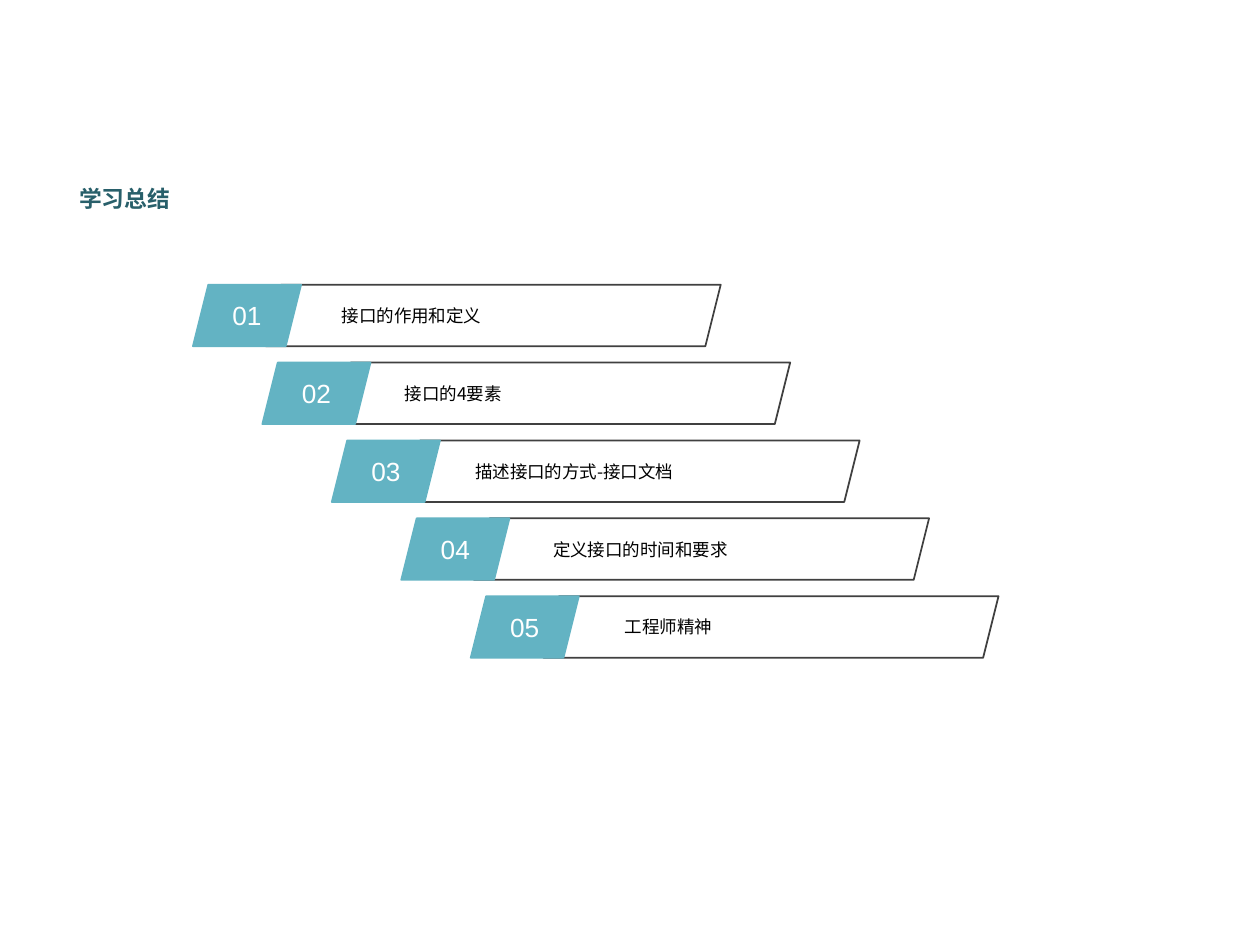
from pptx import Presentation
from pptx import util as u
from pptx.dml.color import RGBColor
from pptx.enum import shapes, text
from pptx.oxml.ns import qn
from lxml import etree

TITLE = "学习总结"
ITEMS = [
    ("接口的作用和定义", 6.71),
    ("接口的4要素", 7.98),
    ("描述接口的方式-接口文档", 9.4),
    ("定义接口的时间和要求", 10.97),
    ("工程师精神", 12.42),
]
LEFT, TOP = 3.89, 5.74
STEP_X, STEP_Y = 1.4, 1.57
TAG_W, BAR_W, BAR_H = 2.18, 9.17, 1.24
BAR_DX = 1.47
LABEL_W, LABEL_H = 7.09, 0.71
CJK = "Noto Sans CJK SC"

HEAD = {"size": u.Pt(13), "name": "Arial", "bold": True}
TAG = {"size": u.Pt(15), "name": "Arial"}
LABEL = {"size": u.Pt(10), "name": CJK}


def color(code):
    return RGBColor.from_string(code)


def write(shape, words, style, ink, side, pad=0.2):
    frame = shape.text_frame
    form = {
        "word_wrap": True,
        "vertical_anchor": text.MSO_ANCHOR.MIDDLE,
        "margin_left": u.Cm(pad),
        "margin_right": u.Cm(pad),
        "margin_top": u.Cm(0.1),
        "margin_bottom": u.Cm(0.1),
    }
    for key, value in form.items():
        setattr(frame, key, value)
    para = frame.paragraphs[0]
    para.alignment = side
    run = para.add_run()
    run.text = words
    for key, value in style.items():
        setattr(run.font, key, value)
    run.font.color.rgb = color(ink)
    east = etree.SubElement(run.font._element, qn("a:ea"))
    east.set("typeface", CJK)


def place(x, y, w, h):
    return [u.Cm(n) for n in (x, y, w, h)]


def slant(slide, x, y, w, line, fill=None):
    shape = slide.shapes.add_shape(
        shapes.MSO_SHAPE.PARALLELOGRAM, *place(x, y, w, BAR_H))
    shape.shadow.inherit = False
    shape.adjustments[0] = 0.25
    shape.line.color.rgb = color(line)
    shape.line.width = u.Pt(1)
    if fill:
        shape.fill.solid()
        shape.fill.fore_color.rgb = color(fill)
    else:
        shape.fill.background()
    return shape


def main():
    deck = Presentation()
    deck.slide_width, deck.slide_height = u.Cm(25.4), u.Cm(19.05)
    slide = deck.slides.add_slide(deck.slide_layouts[6])
    start, mid = text.PP_ALIGN.LEFT, text.PP_ALIGN.CENTER

    head = slide.shapes.add_textbox(*place(1.4, 3.45, 6.2, 1.09))
    write(head, TITLE, HEAD, "285F6A", start)

    for i, (words, label_x) in enumerate(ITEMS):
        x, y = LEFT + i * STEP_X, TOP + i * STEP_Y
        slant(slide, x + BAR_DX, y, BAR_W, "404040")
        tag = slant(slide, x, y, TAG_W, "63B3C3", "63B3C3")
        write(tag, f"{i + 1:02}", TAG, "FFFFFF", mid)
        label_y = y + (BAR_H - LABEL_H) / 2
        label = slide.shapes.add_textbox(
            *place(label_x, label_y, LABEL_W, LABEL_H))
        write(label, words, LABEL, "000000", start, 0.18)

    deck.save("out.pptx")


if __name__ == "__main__":
    main()
